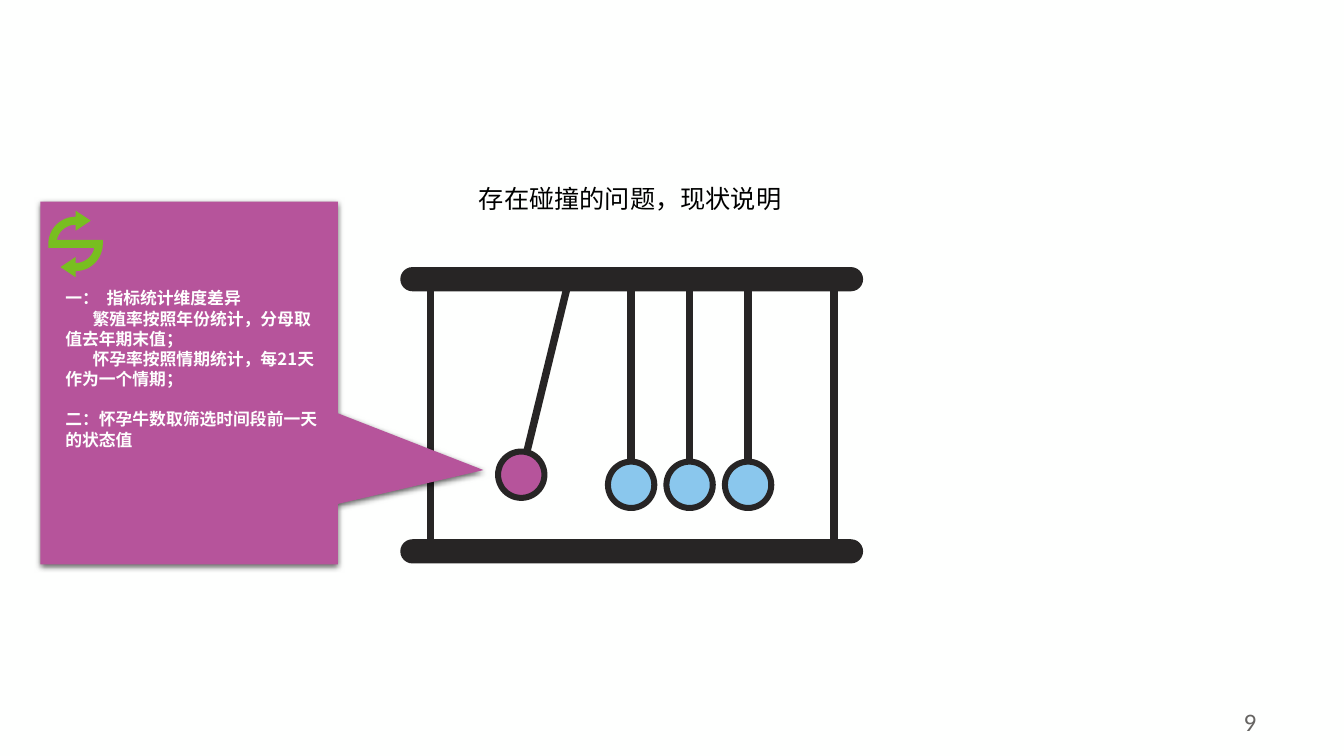
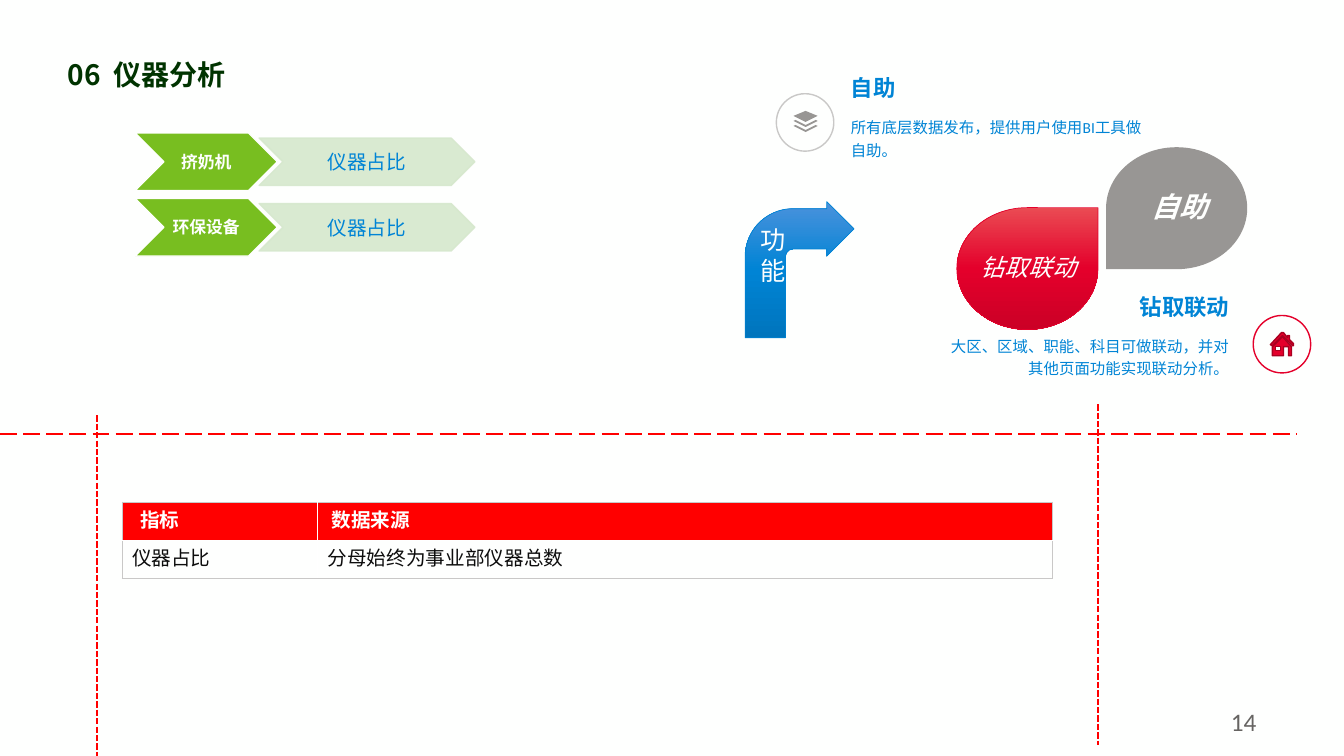
from math import cos, radians, sin

from lxml import etree
from pptx import Presentation
from pptx.dml.color import RGBColor
from pptx.enum import dml, shapes, text
from pptx.oxml import parse_xml
from pptx.oxml.ns import nsdecls, qn
from pptx.util import Inches, Pt

COLORS = {
    "white": "FEFFFE", "black": "000000", "ink": "0D0D0D", "frame": "272525",
    "purple": "B6549B", "sky": "8AC7ED", "green": "78BE20", "pale": "D6E8CD",
    "blue": "0084D5", "crimson": "E4002B", "wine": "A90020", "red": "FF0000",
    "gray": "989694", "border": "C9C8C7", "number": "666462", "title": "003300",
}
BLUE_FADE = ("4B92DC", "0084D5", "0075BD")
RED_FADE = ("EA4B53", "E4002B", "CB0026")
CJK, LATIN = "Noto Sans CJK SC", "Calibri"
LEFT, CENTER, RIGHT = (text.PP_ALIGN.LEFT, text.PP_ALIGN.CENTER,
                       text.PP_ALIGN.RIGHT)
TOP, MIDDLE = text.MSO_ANCHOR.TOP, text.MSO_ANCHOR.MIDDLE
KIND = shapes.MSO_SHAPE


def rgb(name):
    return RGBColor.from_string(COLORS[name])


# Text
def write(frame, words, size=12, color="black", font=CJK, bold=False,
          italic=False, align=LEFT, spacing=None):
    """Fill a text frame; words is one string or a list of paragraphs."""
    lines = [words] if isinstance(words, str) else words
    for index, line in enumerate(lines):
        para = frame.paragraphs[0] if index == 0 else frame.add_paragraph()
        para.alignment = align
        # The CJK font has tall lines, so its line height is fixed
        para.line_spacing = spacing or (Pt(size * 1.2) if font == CJK else 1.0)
        span = para.add_run()
        span.text = line
        span.font.size, span.font.name = Pt(size), font
        span.font.bold, span.font.italic = bold, italic
        span.font.color.rgb = rgb(color)
        east = etree.SubElement(span._r.get_or_add_rPr(), qn("a:ea"))
        east.set("typeface", font)


def set_frame(frame, anchor=TOP, wrap=True, inset=None):
    frame.word_wrap, frame.vertical_anchor = wrap, anchor
    frame.auto_size = text.MSO_AUTO_SIZE.NONE
    if inset is not None:
        frame.margin_left = frame.margin_right = Inches(inset)
        frame.margin_top = frame.margin_bottom = Inches(inset)


def add_text(page, box, words, anchor=TOP, wrap=True, **style):
    label = page.shapes.add_textbox(*map(Inches, box))
    set_frame(label.text_frame, anchor, wrap)
    write(label.text_frame, words, **style)
    return label


def add_title(page, box, words, wrap=True, **style):
    title = page.shapes.title
    title.left, title.top, title.width, title.height = map(Inches, box)
    set_frame(title.text_frame, wrap=wrap)
    write(title.text_frame, words, **style)


def add_number(page, number):
    add_text(page, (9.56, 6.96, 3, 0.4), number, size=18, font=LATIN,
             color="number", align=RIGHT)


# Shapes and lines
def paint(shape, fill, line=None, width=1):
    shape.shadow.inherit = False
    if isinstance(fill, tuple):
        stops = "".join(
            f'<a:gs pos="{i * 50000}"><a:srgbClr val="{tone}"/></a:gs>'
            for i, tone in enumerate(fill))
        fade = parse_xml(
            f'<a:gradFill {nsdecls("a")} rotWithShape="1"><a:gsLst>{stops}'
            '</a:gsLst><a:lin ang="5400000" scaled="0"/></a:gradFill>')
        outline = shape._element.spPr.find(qn("a:custGeom"))
        if outline is None:
            outline = shape._element.spPr.find(qn("a:prstGeom"))
        outline.addnext(fade)
    else:
        shape.fill.solid()
        shape.fill.fore_color.rgb = rgb(fill)
    if line:
        shape.line.color.rgb = rgb(line)
        shape.line.width = Pt(width)
    else:
        shape.line.fill.background()
    return shape


def add_shape(page, kind, box, fill, line=None, width=1, adjust=()):
    shape = page.shapes.add_shape(kind, *map(Inches, box))
    for index, value in enumerate(adjust):
        shape.adjustments[index] = value
    return paint(shape, fill, line, width)


def add_line(page, start, end, color, width, dash=None):
    line = page.shapes.add_connector(shapes.MSO_CONNECTOR.STRAIGHT,
                                     *map(Inches, start + end))
    line.line.color.rgb, line.line.width = rgb(color), Pt(width)
    if dash:
        line.line.dash_style = dash
    etree.SubElement(line._element.spPr, qn("a:effectLst"))


def add_outline(page, corner, contours, fill, line=None):
    """Draw closed contours given in inches from the corner."""
    builder = None
    for contour in contours:
        points = [(Inches(corner[0] + x), Inches(corner[1] + y))
                  for x, y in contour]
        if builder is None:
            builder = page.shapes.build_freeform(*points[0])
        else:
            builder.move_to(*points[0])
        builder.add_line_segments(points[1:], close=True)
    return paint(builder.convert_to_shape(), fill, line)


# Icons
def add_cycle(page, corner):
    def arc(radius, first, last):
        steps = [radians(first + (last - first) * i / 12) for i in range(13)]
        return [(0.27 + radius * cos(a), 0.33 - radius * sin(a)) for a in steps]

    half = (arc(0.19, 168, 90) + [(0.27, 0.2), (0.42, 0.1), (0.27, 0)]
            + arc(0.27, 90, 180) + [(0, 0.37)])
    turned = [(0.54 - x, 0.66 - y) for x, y in half]
    add_outline(page, corner, [half + turned], "green")


def add_layers(page, corner):
    sheet = [(0, 0.05), (0.12, 0), (0.24, 0.05), (0.12, 0.11)]
    edges = [[(0, y), (0.02, y - 0.01), (0.12, y + 0.04), (0.22, y - 0.01),
              (0.24, y), (0.12, y + 0.06)] for y in (0.1, 0.15)]
    add_outline(page, corner, [sheet] + edges, "gray")


def add_house(page, corner):
    roof = [(0, 0.12), (0.11, 0), (0.13, 0), (0.17, 0.05), (0.17, 0.03),
            (0.19, 0.03), (0.19, 0.07), (0.23, 0.11), (0.23, 0.13),
            (0.22, 0.13), (0.12, 0.03), (0.02, 0.13)]
    walls = [(0.02, 0.14), (0.12, 0.04), (0.21, 0.14), (0.21, 0.23),
             (0.18, 0.23), (0.18, 0.14), (0.13, 0.14), (0.13, 0.23),
             (0.02, 0.23)]
    window = [(0.05, 0.14), (0.1, 0.14), (0.1, 0.18), (0.05, 0.18)]
    add_outline(page, corner, [roof, walls, window], "crimson", "wine")


# Regions of the problem slide
def add_cradle(page, box):
    left, top, width, height = box
    bar, ball, stroke = 0.24, 0.46, 5.3
    under, floor = top + bar, top + height - bar
    for x in (left + 0.3, left + width - 0.29):
        add_line(page, (x, under), (x, floor), "frame", stroke)
    hanging = [(left + 2.29 + 0.58 * i, top + 2.16) for i in range(3)]
    balls = [((x, under), (x, y), "sky") for x, y in hanging]
    balls.append(((left + 1.65, under - 0.02), (left + 1.2, top + 2.06),
                  "purple"))
    for start, (x, y), fill in balls:
        add_line(page, start, (x, y), "frame", stroke)
        add_shape(page, KIND.OVAL, (x - ball / 2, y - ball / 2, ball, ball),
                  fill, "frame", 4.3)
    for y in (top, floor):
        add_shape(page, KIND.ROUNDED_RECTANGLE, (left, y, width, bar),
                  "frame", adjust=(0.5,))


def add_callout(page, box, lines):
    left, top, width, height = box
    callout = add_shape(page, KIND.RECTANGULAR_CALLOUT, box, "purple",
                        adjust=(0.99, 0.24))
    effects = callout._element.spPr.find(qn("a:effectLst"))
    effects.append(parse_xml(
        f'<a:outerShdw {nsdecls("a")} blurRad="57150" dist="19050" '
        'dir="5400000" algn="ctr" rotWithShape="0"><a:srgbClr val="000000">'
        '<a:alpha val="63000"/></a:srgbClr></a:outerShdw>'))
    add_cycle(page, (left + 0.08, top + 0.09))
    notes = add_text(page, (left + 0.15, top + 0.81, 2.73, 1.72), lines,
                     color="white", bold=True)
    paras = notes.text_frame.paragraphs
    for para in paras[1:3]:
        para._p.get_or_add_pPr().set("indent", str(Inches(0.27)))
    paras[3].space_before = Pt(14.4)


def build_problem(deck):
    page = deck.slides.add_slide(deck.slide_layouts[5])
    add_title(page, (4.65, 1.77, 3.23, 0.4), "存在碰撞的问题，现状说明",
              wrap=False, size=18)
    add_cradle(page, (3.97, 2.65, 4.59, 2.94))
    add_callout(page, (0.4, 2, 2.95, 3.6), [
        "一：  指标统计维度差异",
        "繁殖率按照年份统计，分母取值去年期末值；",
        "怀孕率按照情期统计，每21天作为一个情期；",
        "二：怀孕牛数取筛选时间段前一天的状态值",
    ])
    add_number(page, "9")


# Regions of the analysis slide
def add_chevron_row(page, left, top, device, measure):
    name = add_shape(page, KIND.CHEVRON, (left, top, 1.41, 0.57), "green",
                     "white")
    share = add_shape(page, KIND.CHEVRON, (left + 1.23, top + 0.05, 2.14, 0.47),
                      "pale", "pale")
    for tone in share._element.spPr.iter(qn("a:srgbClr")):
        etree.SubElement(tone, qn("a:alpha")).set("val", "90000")
    for shape, words, style in (
            (name, device, dict(size=12, color="white", bold=True)),
            (share, measure, dict(size=14, color="blue"))):
        set_frame(shape.text_frame, MIDDLE, inset=0)
        write(shape.text_frame, words, align=CENTER, **style)


def add_topic(page, box, heading, body, badge, ring, icon, align=LEFT):
    left, top, width, height = box
    style = dict(color="blue", font=LATIN, align=align)
    add_text(page, (left, top, width, 0.44), heading, anchor=MIDDLE, size=16,
             bold=True, **style)
    add_text(page, (left, top + 0.44, width, height - 0.44), body, size=11,
             spacing=1.2, **style)
    add_shape(page, KIND.OVAL, (*badge, 0.57, 0.57), "white", ring)
    icon(page, (badge[0] + 0.17, badge[1] + 0.17))


def add_leaves(page, left, top):
    gray = add_shape(page, KIND.TEAR, (left + 1.48, top, 1.4, 1.21), "gray")
    gray.rotation = 180
    add_shape(page, KIND.TEAR, (left, top + 0.6, 1.4, 1.21), RED_FADE,
              "crimson", 0.5)
    style = dict(anchor=MIDDLE, color="white", font=LATIN, italic=True,
                 align=CENTER)
    add_text(page, (left + 1.65, top + 0.35, 1.11, 0.47), "自助", size=20,
             bold=True, **style)
    add_text(page, (left + 0.13, top + 0.95, 1.16, 0.47), "钻取联动", size=17,
             **style)


def add_sources(page, box, rows):
    table = page.shapes.add_table(len(rows), 2, *map(Inches, box)).table
    table.first_row = table.horz_banding = False
    for column, width in zip(table.columns, (1.94, box[2] - 1.94)):
        column.width = Inches(width)
    last = len(rows) - 1
    for r, row in enumerate(rows):
        for c, words in enumerate(row):
            cell, head = table.cell(r, c), r == 0
            cell.vertical_anchor = MIDDLE
            cell.margin_left = Inches((0.18, 0.14)[c] if head else 0.1)
            write(cell.text_frame, words, size=14, bold=head,
                  color="white" if head else "ink")
            cell.fill.solid()
            cell.fill.fore_color.rgb = rgb("red" if head else "white")
            sides = [("lnL", c == 0), ("lnR", c == 1), ("lnT", True),
                     ("lnB", r == last)]
            edges = [side for side, shown in sides if shown]
            for index, side in enumerate(edges):
                cell._tc.get_or_add_tcPr().insert(index, parse_xml(
                    f'<a:{side} {nsdecls("a")} w="6350"><a:solidFill><a:srgbClr '
                    f'val="{COLORS["border"]}"/></a:solidFill></a:{side}>'))


def build_analysis(deck):
    page = deck.slides.add_slide(deck.slide_layouts[5])
    add_title(page, (0.57, 0.52, 10.73, 0.54), "06  仪器分析", size=20,
              color="title", bold=True)
    add_sources(page, (1.21, 4.98, 9.23, 0.76), [
        ("指标", "数据来源"), ("仪器占比", "分母始终为事业部仪器总数")])
    for index, device in enumerate(("挤奶机", "环保设备")):
        add_chevron_row(page, 1.34, 1.32 + 0.65 * index, device, "仪器占比")
    # Functions
    add_shape(page, KIND.BENT_ARROW, (7.39, 2, 1.08, 1.35), BLUE_FADE, "blue",
              0.5, adjust=(0.37, 0.25, 0.25, 0.44))
    add_text(page, (7.44, 2.18, 0.43, 0.71), "功能", size=18, color="white")
    add_leaves(page, 9.49, 1.46)
    add_topic(page, (9.22, 2.82, 3.07, 1.02), "钻取联动",
              "大区、区域、职能、科目可做联动，并对其他页面功能实现联动分析。",
              (12.43, 3.13), "crimson", add_house, align=RIGHT)
    add_topic(page, (8.34, 0.65, 3.22, 1.01), "自助",
              "所有底层数据发布，提供用户使用BI工具做自助。",
              (7.7, 0.93), "border", add_layers)
    # Dashed guides
    add_line(page, (0, 4.31), (12.86, 4.31), "red", 1.5, dml.MSO_LINE.LONG_DASH)
    for x, y in ((0.96, 4.12), (10.89, 4.01)):
        add_line(page, (x, y), (x, y + 3.38), "red", 1.5,
                 dml.MSO_LINE.SQUARE_DOT)
    add_number(page, "14")


def main():
    deck = Presentation()
    deck.slide_width, deck.slide_height = Inches(13.33), Inches(7.5)
    backdrop = deck.slide_master.background.fill
    backdrop.solid()
    backdrop.fore_color.rgb = rgb("white")
    build_problem(deck)
    build_analysis(deck)
    deck.save("out.pptx")


if __name__ == "__main__":
    main()
